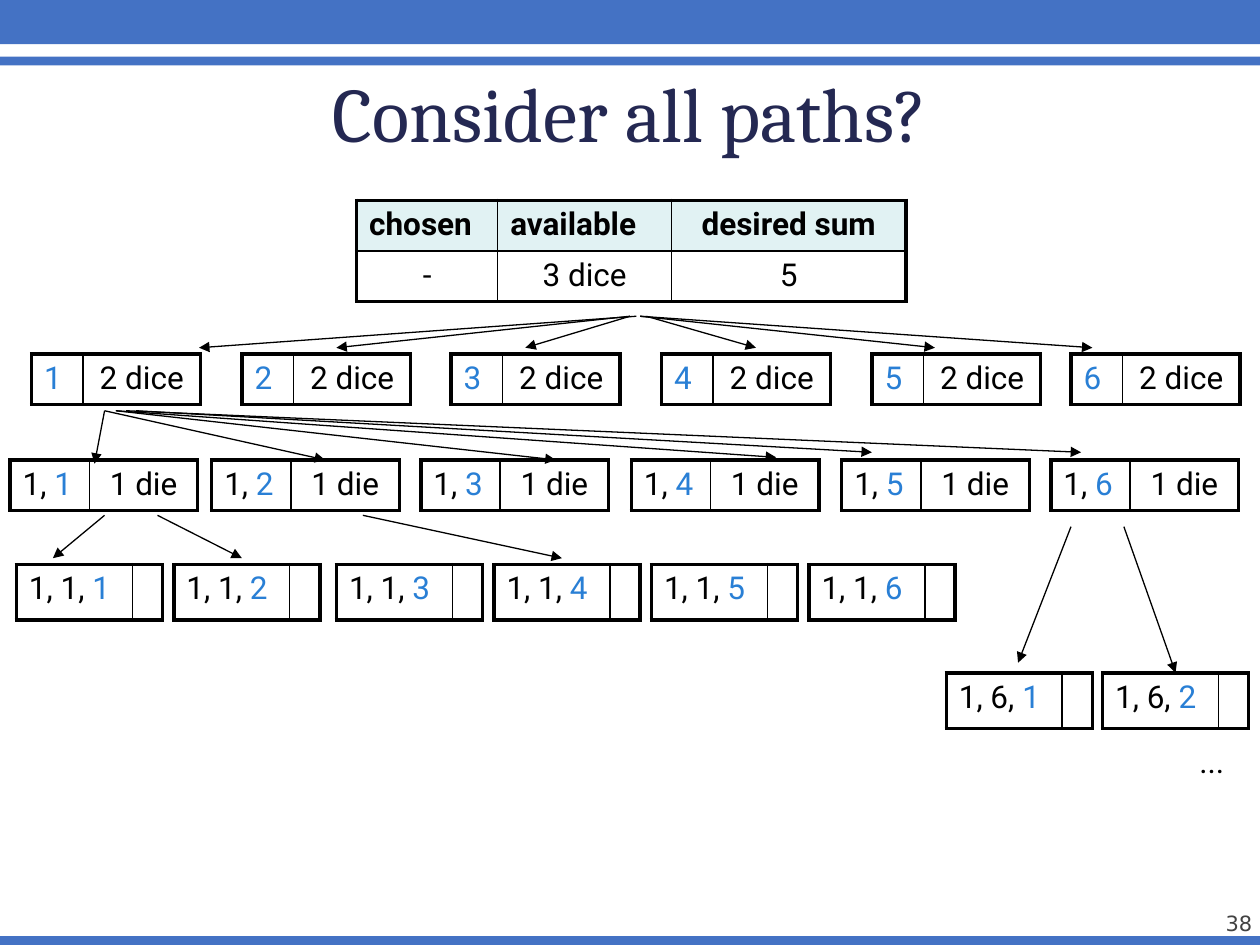
from lxml.etree import SubElement as Sub
from pptx import Presentation
from pptx.dml.color import RGBColor
from pptx.enum.shapes import MSO_CONNECTOR as Conn, MSO_SHAPE as Shape
from pptx.enum.text import MSO_ANCHOR as Anchor, PP_ALIGN as Align
from pptx.oxml import parse_xml
from pptx.oxml.ns import nsdecls, qn
from pptx.util import Inches, Pt

BLACK, BLUE, BAR, HEAD = "000000", "297FD5", "4472C4", "E1F2F3"
THICK, THIN = 2.25, 1

BARS = [(0, 0.35), (0.45, 0.07), (7.43, 0.07)]
ROOT = [["chosen", "available", "desired sum"], ["-", "3 dice", "5"]]
# top, row height, column widths, prefix, remaining dice, left of each table
LEVELS = [
    (2.81, 0.4, (0.41, 0.93), "", "2 dice", (0.25, 1.92, 3.58, 5.25, 6.92, 8.5)),
    (3.65, 0.4, (0.63, 0.86), "1, ", "1 die", (0.08, 1.68, 3.34, 5.01, 6.68, 8.34)),
    (4.48, 0.44, (0.92, 0.23), "1, 1, ", "", (0.13, 1.38, 2.67, 3.92, 5.17, 6.42)),
    (5.34, 0.44, (0.92, 0.23), "1, 6, ", "", (7.51, 8.75)),
]
# start height, then (start x, end x, end y) of each arrow
ARROWS = [
    (2.51, [(5.05, 1.58, 2.76), (5, 2.67, 2.76), (5, 4.17, 2.76),
            (5.13, 6, 2.76), (5.08, 7.42, 2.76), (5.08, 8.67, 2.76)]),
    (3.26, [(0.83, 0.75, 3.68), (0.83, 2.58, 3.65), (0.92, 4.41, 3.65),
            (0.92, 6.16, 3.63), (1.08, 6.92, 3.59), (1, 8.58, 3.59)]),
    (4.09, [(0.83, 0.42, 4.43), (1.25, 1.92, 4.43), (2.88, 4.46, 4.43)]),
    (4.18, [(8.5, 8.08, 5.26), (8.92, 9.33, 5.34)]),
]


def rgb(code):
    return RGBColor.from_string(code)


def write(frame, runs, align=Align.LEFT, size=18, face="Roboto", bold=False):
    """Put (text, colour) runs into the first paragraph."""
    para = frame.paragraphs[0]
    para.alignment = align
    for text, color in runs:
        run = para.add_run()
        run.text = text
        look = {"size": Pt(size), "name": face, "bold": bold}
        for key, value in look.items():
            setattr(run.font, key, value)
        run.font.color.rgb = rgb(color)


def edge(cell, widths):
    """Draw the borders, given in points as left, right, top, bottom."""
    props = cell._tc.get_or_add_tcPr()
    for spot, (side, width) in enumerate(zip("LRTB", widths)):
        props.insert(spot, parse_xml(
            f'<a:ln{side} {nsdecls("a")} w="{Pt(width)}"><a:solidFill>'
            f'<a:srgbClr val="{BLACK}"/></a:solidFill></a:ln{side}>'))


def add_grid(slide, left, top, cols, high, cells):
    """Add a table with a thick frame; a cell is (runs, align, bold, fill)."""
    rows, count = len(cells), len(cols)
    grid = slide.shapes.add_table(
        rows, count, Inches(left), Inches(top),
        Inches(sum(cols)), Inches(high * rows)).table
    grid.first_row = grid.horz_banding = False
    for col, width in zip(grid.columns, cols):
        col.width = Inches(width)
    for r, line in enumerate(cells):
        grid.rows[r].height = Inches(high)
        for c, (runs, align, bold, fill) in enumerate(line):
            cell = grid.cell(r, c)
            write(cell.text_frame, runs, align, bold=bold)
            if fill:
                cell.fill.solid()
                cell.fill.fore_color.rgb = rgb(fill)
            else:
                cell.fill.background()
            outer = (c == 0, c == count - 1, r == 0, r == rows - 1)
            edge(cell, [THICK if out else THIN for out in outer])


def add_arrow(slide, *ends):
    link = slide.shapes.add_connector(Conn.STRAIGHT, *map(Inches, ends))
    link.line.color.rgb = rgb(BLACK)
    link.line.width = Pt(0.75)
    Sub(link.line._get_or_add_ln(), qn("a:tailEnd"), type="triangle")
    Sub(link._element.spPr, qn("a:effectLst"))


def add_text(slide, box, text, color, wrap, **look):
    frame = slide.shapes.add_textbox(*map(Inches, box)).text_frame
    frame.word_wrap = wrap
    write(frame, [(text, color)], **look)
    return frame


def place_title(slide):
    title = slide.shapes.title
    spots = {"left": 0.5, "top": 0.48, "width": 9, "height": 0.77}
    for key, value in spots.items():
        setattr(title, key, Inches(value))
    frame = title.text_frame
    frame.vertical_anchor = Anchor.BOTTOM
    frame.margin_left = frame.margin_right = frame.margin_bottom = 0
    frame.margin_top = Inches(0.05)
    write(frame, [("Consider all paths?", "242852")], Align.CENTER, 44, "Cambria")


def main():
    deck = Presentation()
    deck.slide_width, deck.slide_height = Inches(10), Inches(7.5)
    slide = deck.slides.add_slide(deck.slide_layouts[5])
    place_title(slide)

    for top, high in BARS:
        bar = slide.shapes.add_shape(
            Shape.RECTANGLE, 0, Inches(top), Inches(10), Inches(high))
        bar.shadow.inherit = False
        bar.fill.solid()
        bar.fill.fore_color.rgb = rgb(BAR)
        bar.line.fill.background()

    number = add_text(slide, (9.11, 7.03, 0.83, 0.4), "38", "424242", True,
                      align=Align.RIGHT, size=12, face="DejaVu Sans")
    number.vertical_anchor = Anchor.BOTTOM
    for side in ("left", "right", "top", "bottom"):
        setattr(number, f"margin_{side}", 0)

    aligns = [[Align.LEFT, Align.LEFT, Align.CENTER], [Align.CENTER] * 3]
    cells = [[([(text, BLACK)], align, r == 0, HEAD if r == 0 else None)
              for text, align in zip(ROOT[r], aligns[r])] for r in range(2)]
    add_grid(slide, 2.83, 1.59, (1.12, 1.38, 1.86), 0.4, cells)

    for top, high, cols, prefix, rest, lefts in LEVELS:
        for roll, left in enumerate(lefts, 1):
            chosen = [(prefix, BLACK)] if prefix else []
            chosen.append((str(roll), BLUE))
            left_over = [(rest, BLACK)] if rest else []
            add_grid(slide, left, top, cols, high,
                     [[(chosen, Align.LEFT, False, None),
                       (left_over, Align.CENTER, False, None)]])

    for top, links in ARROWS:
        for start, end, low in links:
            add_arrow(slide, start, top, end, low)

    add_text(slide, (9.42, 5.84, 0.43, 0.4), "...", BLACK, False)
    deck.save("out.pptx")


if __name__ == "__main__":
    main()
